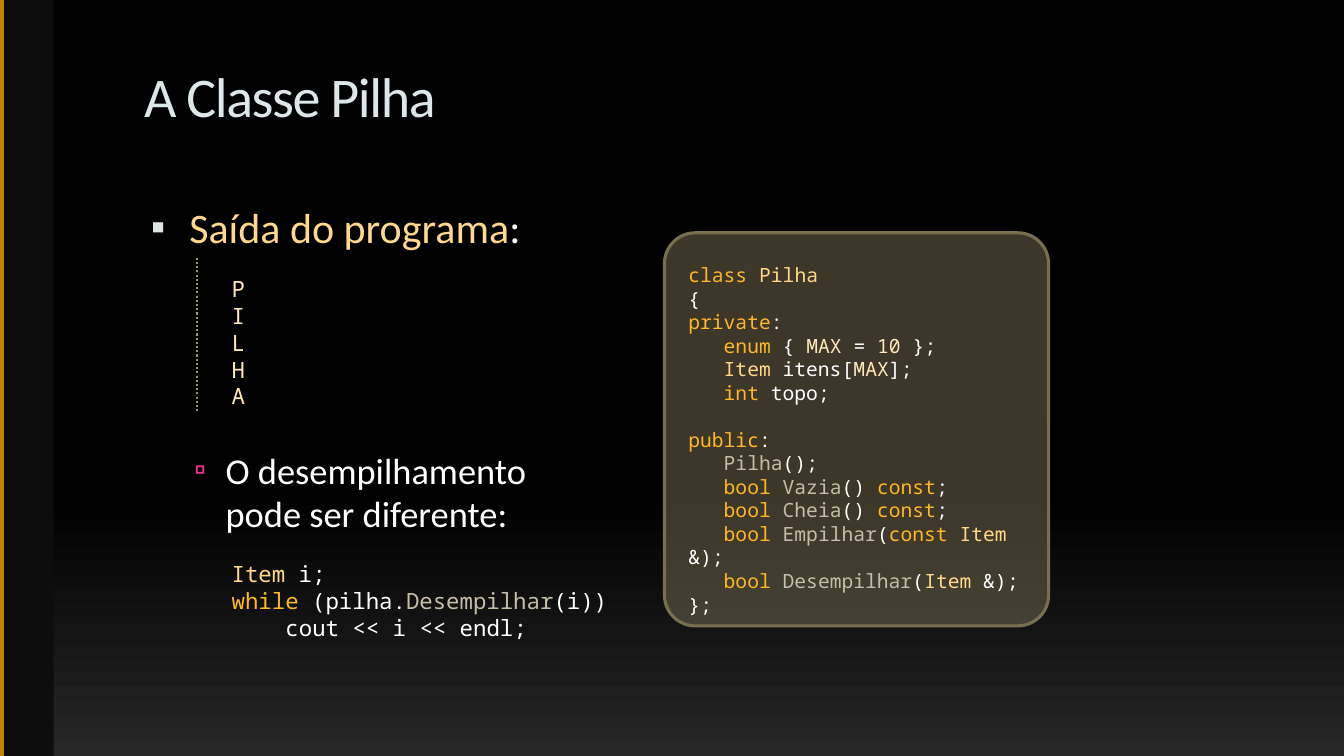
"""Build the slide on the Pilha class: program output, loop and class listing."""
import pptx
import pptx.util
import pptx.dml.color
import pptx.enum.dml
import pptx.enum.shapes
import pptx.enum.text
import pptx.oxml
import pptx.oxml.ns
import lxml.etree

WIDE, HIGH = 13.33, 7.5
SANS, MONO = "Calibri", "Noto Sans Mono"
HUES = {
    "title": "DDE6E8", "plain": "FFFFFF", "key": "FFB728", "type": "FFD88B",
    "value": "FFE8B9", "call": "C4BEA9", "card": "786F51", "rule": "9D936F",
    "side": "0D0D0D", "edge": "C58300", "dark": "000000", "grey": "262626",
    "square": "E0E4E5", "pink": "F03288",
}
TITLE = "A Classe Pilha"
POINTS = [
    dict(size=30, left=0.45, hang=0.38, gap=0, mark="▪", tint="square", share=95,
         runs=[("Saída do programa", "type"), (":", "plain")]),
    dict(size=26, left=0.81, hang=0.31, gap=140, mark="▫", tint="pink", share=90,
         runs=[("O desempilhamento ", "plain"), ("\n", "plain"),
               ("pode ser diferente:", "plain")]),
]
OUTPUT = [(0, 0, [(char, "value")]) for char in "PILHA"]
LOOP = [
    (0, 0, [("Item", "type"), (" i;", "plain")]),
    (0, 0, [("while", "key"), (" (pilha.", "plain"), ("Desempilhar", "call"),
            ("(i))", "plain")]),
    (4, 0, [("cout << i << endl;", "plain")]),
]
CLASS = [
    (0, 0, [("class ", "key"), ("Pilha", "type")]),
    (0, 0, [("{", "plain")]),
    (0, 0, [("private", "key"), (":", "plain")]),
    (3, 0, [("enum", "key"), (" { ", "plain"), ("MAX", "value"), (" = ", "plain"),
            ("10 ", "value"), ("};", "plain")]),
    (3, 0, [("Item", "type"), (" itens[", "plain"), ("MAX", "value"), ("];", "plain")]),
    (3, 0, [("int", "key"), (" topo;", "plain")]),
    (0, 1, [("public", "key"), (":", "plain")]),
    (3, 0, [("Pilha", "call"), ("();", "plain")]),
    (3, 0, [("bool ", "key"), ("Vazia", "call"), ("() ", "plain"), ("const", "key"),
            (";", "plain")]),
    (3, 0, [("bool ", "key"), ("Cheia", "call"), ("() ", "plain"), ("const", "key"),
            (";", "plain")]),
    (3, 0, [("bool ", "key"), ("Empilhar", "call"), ("(", "plain"), ("const ", "key"),
            ("Item", "type"), (" &);", "plain")]),
    (3, 0, [("bool ", "key"), ("Desempilhar", "call"), ("(", "plain"), ("Item", "type"),
            (" &);", "plain")]),
    (0, 0, [("};", "plain")]),
]
BLOCKS = [
    (OUTPUT, 16, (2.2, 2.68, 3.41, 1.45)),
    (LOOP, 16, (2.2, 5.51, 3.94, 0.91)),
    (CLASS, 14, (6.73, 2.56, 3.56, 3.4)),
]
RULES = [
    ((0.02, 0), (0.02, HIGH), "edge", 3, None),
    ((1.95, 4.08), (1.95, 2.54), "rule", 1.5, pptx.enum.dml.MSO_LINE.ROUND_DOT),
]
SHAPES = pptx.enum.shapes.MSO_SHAPE
Inches, Pt = pptx.util.Inches, pptx.util.Pt


def hue(name):
    """Return the named colour."""
    return pptx.dml.color.RGBColor.from_string(HUES[name])


def sub(host, tag, **attrs):
    """Append a drawing element to its host."""
    node = lxml.etree.SubElement(host, pptx.oxml.ns.qn(tag))
    for key, value in attrs.items():
        node.set(key, str(value))
    return node


def write(para, runs, font, size):
    """Write coloured runs into a paragraph."""
    for text, tint in runs:
        if text == "\n":
            para.add_line_break()
            continue
        run = para.add_run()
        run.text = text
        run.font.name, run.font.size = font, Pt(size)
        run.font.color.rgb = hue(tint)


def box(slide, area):
    """Add a wrapping text box."""
    frame = slide.shapes.add_textbox(*map(Inches, area)).text_frame
    frame.word_wrap = True
    return frame


def paras(frame, items):
    """Pair each item with its own paragraph."""
    for i, item in enumerate(items):
        yield (frame.add_paragraph() if i else frame.paragraphs[0]), item


def code(slide, lines, size, area):
    """Add a code listing with first-line indents."""
    pitch = size * 1.2
    for para, (depth, skip, runs) in paras(box(slide, area), lines):
        para.line_spacing = Pt(pitch)
        para.space_before = Pt(skip * pitch)
        para._p.get_or_add_pPr().set("indent", str(Pt(depth * size * 0.6)))
        write(para, runs, MONO, size)


def points(slide, area):
    """Add the bulleted points."""
    for para, item in paras(box(slide, area), POINTS):
        para.space_before = Pt(item["gap"])
        props = para._p.get_or_add_pPr()
        props.set("marL", str(Inches(item["left"])))
        props.set("indent", str(-Inches(item["hang"])))
        sub(sub(props, "a:buClr"), "a:srgbClr", val=HUES[item["tint"]])
        sub(props, "a:buSzPct", val=item["share"] * 1000)
        sub(props, "a:buFont", typeface=SANS)
        sub(props, "a:buChar", char=item["mark"])
        write(para, item["runs"], SANS, item["size"])


def panel(slide, kind, area, tint):
    """Add a flat filled shape without outline."""
    shape = slide.shapes.add_shape(kind, *map(Inches, area))
    shape.shadow.inherit = False
    shape.fill.solid()
    shape.fill.fore_color.rgb = hue(tint)
    shape.line.fill.background()
    return shape


def rule(slide, start, end, tint, width, dash):
    """Add a straight line."""
    line = slide.shapes.add_connector(
        pptx.enum.shapes.MSO_CONNECTOR.STRAIGHT, *map(Inches, start + end))
    line.line.color.rgb, line.line.width = hue(tint), Pt(width)
    if dash:
        line.line.dash_style = dash
    sub(line._element.spPr, "a:effectLst")


def main():
    """Assemble and save the slide."""
    deck = pptx.Presentation()
    deck.slide_width, deck.slide_height = Inches(WIDE), Inches(HIGH)
    slide = deck.slides.add_slide(deck.slide_layouts[5])

    back = slide.background.fill
    back.gradient()
    back.gradient_angle = 270
    for stop, (place, tint) in zip(back.gradient_stops, [(0.65, "dark"), (1, "grey")]):
        stop.position, stop.color.rgb = place, hue(tint)

    panel(slide, SHAPES.RECTANGLE, (0, 0, WIDE * 0.04, HIGH), "side")
    title = slide.shapes.title
    title.left, title.top, title.width, title.height = map(Inches, (1.33, 0.56, 9.51, 1))
    title.text_frame.vertical_anchor = pptx.enum.text.MSO_ANCHOR.TOP
    head = title.text_frame.paragraphs[0]
    head.alignment = pptx.enum.text.PP_ALIGN.LEFT
    write(head, [(TITLE, "title")], SANS, 40)
    head.runs[0].font._element.set("spc", "-100")

    points(slide, (1.33, 1.95, 11.33, 5))
    card = panel(slide, SHAPES.ROUND_2_SAME_RECTANGLE, (6.59, 2.31, 3.81, 3.9), "card")
    card.adjustments[0] = card.adjustments[1] = 0.08
    sub(card.fill._xPr.find(".//" + pptx.oxml.ns.qn("a:srgbClr")), "a:alpha", val=50000)
    card.line.color.rgb, card.line.width = hue("card"), Pt(2.25)
    for args in RULES:
        rule(slide, *args)
    for lines, size, area in BLOCKS:
        code(slide, lines, size, area)
    deck.save("out.pptx")


if __name__ == "__main__":
    main()
